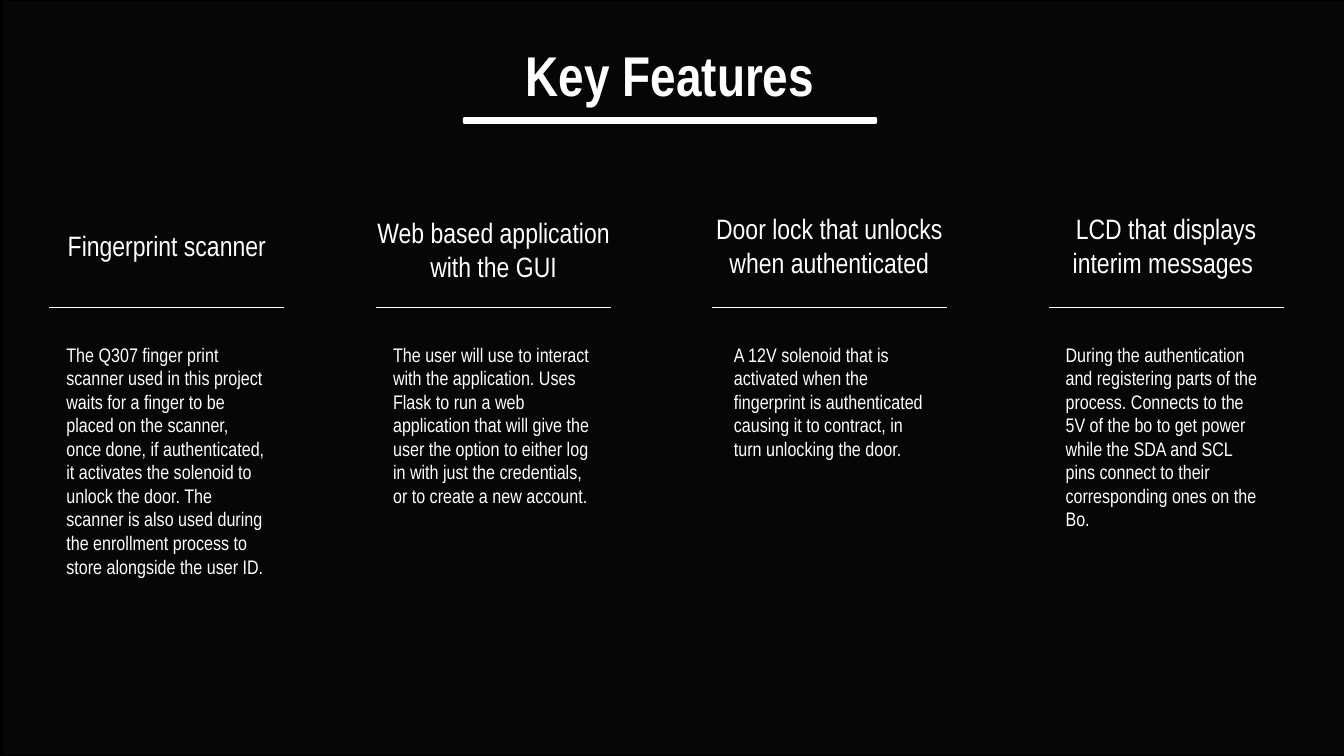
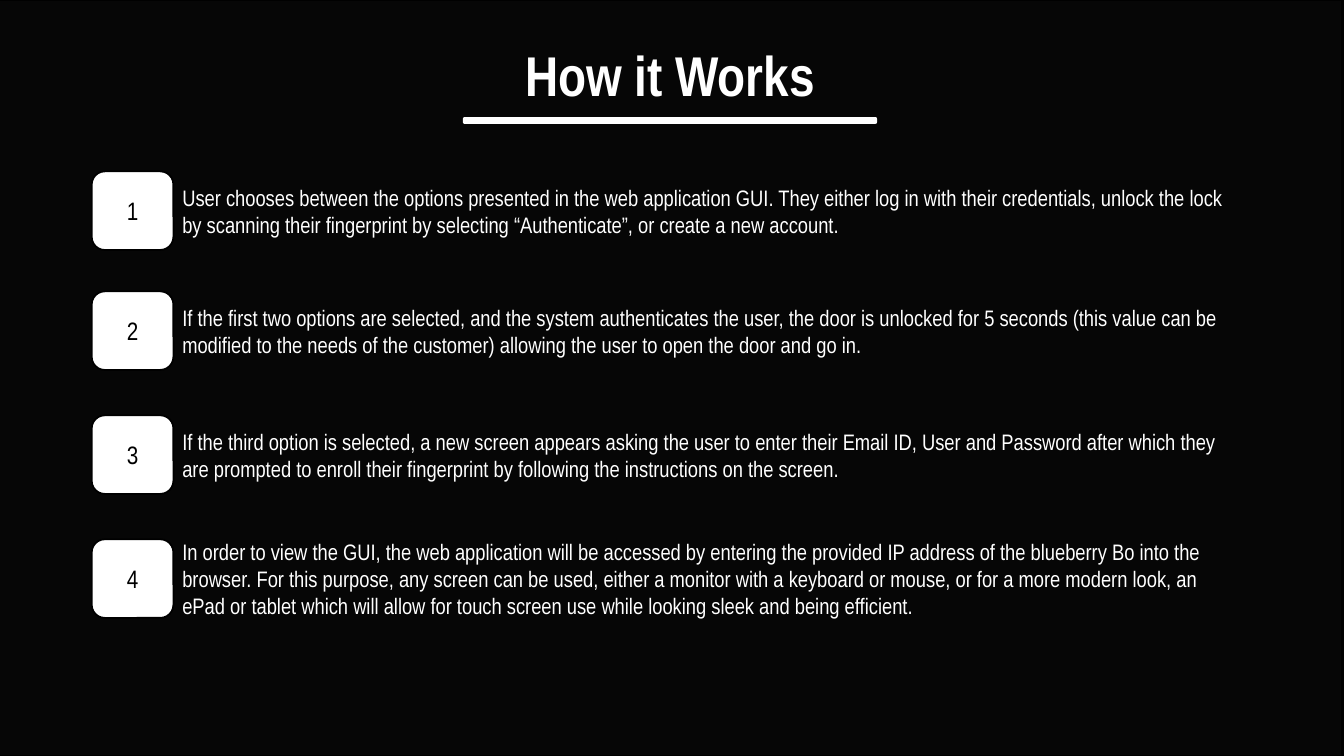
from lxml import etree
from pptx import Presentation
from pptx.dml.color import RGBColor
from pptx.enum.shapes import MSO_CONNECTOR, MSO_SHAPE
from pptx.enum.text import MSO_ANCHOR, MSO_AUTO_SIZE, PP_ALIGN
from pptx.oxml.ns import qn
from pptx.util import Inches, Pt

WHITE = RGBColor(0xFF, 0xFF, 0xFF)
BLACK = RGBColor(0x00, 0x00, 0x00)
VEIL = RGBColor(0x0D, 0x0D, 0x0D)
VEIL_OPACITY = 52
FONT = "Arial Narrow"

RECT = MSO_SHAPE.RECTANGLE
ROUND_RECT = MSO_SHAPE.ROUNDED_RECTANGLE
BADGE = MSO_SHAPE.FLOWCHART_ALTERNATE_PROCESS
STRAIGHT = MSO_CONNECTOR.STRAIGHT
LEFT, CENTER = PP_ALIGN.LEFT, PP_ALIGN.CENTER
TOP, MIDDLE = MSO_ANCHOR.TOP, MSO_ANCHOR.MIDDLE
FIXED = MSO_AUTO_SIZE.NONE

SLIDE_W, SLIDE_H = 13.33, 7.5
TITLE_ONLY = 5

# Column left, heading top, heading height, body indent, heading, body
FEATURES = [
    (0.33, 2.22, 0.44, 0.23, "Fingerprint scanner",
     "The Q307 finger print scanner used in this project waits for a finger "
     "to be placed on the scanner, once done, if authenticated, it activates "
     "the solenoid to unlock the door. The scanner is also used during the "
     "enrollment process to store alongside the user ID."),
    (3.57, 2.09, 0.77, 0.23, "Web based application with the GUI",
     "The user will use to interact with the application. Uses Flask to run "
     "a web application that will give the user the option to either log in "
     "with just the credentials, or to create a new account."),
    (6.9, 2.05, 0.77, 0.28, "Door lock that unlocks when authenticated",
     "A 12V solenoid that is activated when the fingerprint is authenticated "
     "causing it to contract, in turn unlocking the door."),
    (10.24, 2.05, 0.77, 0.23, "LCD that displays interim messages ",
     "During the authentication and registering parts of the process. "
     "Connects to the 5V of the bo to get power while the SDA and SCL pins "
     "connect to their corresponding ones on the Bo."),
]

# Badge top, text
STEPS = [
    (1.7, "User chooses between the options presented in the web application "
     "GUI. They either log in with their credentials, unlock the lock by "
     "scanning their fingerprint by selecting “Authenticate”, or create a "
     "new account."),
    (2.89, "If the first two options are selected, and the system "
     "authenticates the user, the door is unlocked for 5 seconds (this value "
     "can be modified to the needs of the customer) allowing the user to open "
     "the door and go in."),
    (4.12, "If the third option is selected, a new screen appears asking the "
     "user to enter their Email ID, User and Password after which they are "
     "prompted to enroll their fingerprint by following the instructions on "
     "the screen."),
    (5.35, "In order to view the GUI, the web application will be accessed by "
     "entering the provided IP address of the blueberry Bo into the browser. "
     "For this purpose, any screen can be used, either a monitor with a "
     "keyboard or mouse, or for a more modern look, an ePad or tablet which "
     "will allow for touch screen use while looking sleek and being "
     "efficient."),
]


def box(x, y, w, h):
    return Inches(x), Inches(y), Inches(w), Inches(h)


def write(shape, text, size, color=WHITE, align=LEFT, anchor=TOP, bold=False):
    tf = shape.text_frame
    tf.word_wrap = True
    tf.auto_size = FIXED
    tf.vertical_anchor = anchor
    tf.text = text
    p = tf.paragraphs[0]
    p.alignment = align
    font = p.font
    font.name, font.size, font.bold = FONT, Pt(size), bold
    font.color.rgb = color


def add_text(slide, x, y, w, h, text, size, **style):
    write(slide.shapes.add_textbox(*box(x, y, w, h)), text, size, **style)


def add_block(slide, kind, x, y, w, h, fill, line):
    sp = slide.shapes.add_shape(kind, *box(x, y, w, h))
    sp.shadow.inherit = False
    sp.fill.solid()
    sp.fill.fore_color.rgb = fill
    sp.line.color.rgb = line
    sp.line.width = Pt(1.25)
    return sp


def add_rule(slide, x, y, w):
    line = slide.shapes.add_connector(
        STRAIGHT, Inches(x), Inches(y), Inches(x + w), Inches(y))
    line.line.color.rgb = WHITE
    line.line.width = Pt(0.75)
    etree.SubElement(line._element.spPr, qn("a:effectLst"))


def add_veil(slide, x):
    """Lay a translucent panel over the background, behind all else."""
    veil = add_block(slide, RECT, x, 0, SLIDE_W, SLIDE_H, VEIL, BLACK)
    color = veil._element.spPr.find(qn("a:solidFill"))[0]
    etree.SubElement(color, qn("a:alpha"), val=str(VEIL_OPACITY * 1000))
    slide.shapes._spTree.insert(2, veil._element)


def add_titled_slide(prs, title, veil_x):
    slide = prs.slides.add_slide(prs.slide_layouts[TITLE_ONLY])
    slide.background.fill.solid()
    slide.background.fill.fore_color.rgb = BLACK
    add_veil(slide, veil_x)
    sp = slide.shapes.title
    sp.left, sp.top, sp.width, sp.height = box(-0.02, 0.35, SLIDE_W, 1.18)
    write(sp, title, 40, align=CENTER, bold=True)
    add_block(slide, ROUND_RECT, 4.6, 1.17, 4.09, 0.05, WHITE, WHITE)
    return slide


def add_feature(slide, x, head_y, head_h, indent, heading, body):
    width, rule_y, rule_inset = 2.65, 3.05, 0.16
    add_text(slide, x, head_y, width, head_h, heading, 20, align=CENTER)
    add_rule(slide, x + rule_inset, rule_y, width - 2 * rule_inset)
    add_text(slide, x + indent, rule_y + 0.3, 2.18, 2.76, body, 14)


def add_step(slide, y, number, text):
    x, width, height = 0.91, 0.81, 0.78
    badge = add_block(slide, BADGE, x, y, width, height, WHITE, BLACK)
    write(badge, str(number), 18, color=BLACK, align=CENTER, anchor=MIDDLE)
    add_text(slide, x + width - 0.01, y, 10.72, height, text, 16,
             anchor=MIDDLE)


def main():
    prs = Presentation()
    prs.slide_width, prs.slide_height = Inches(SLIDE_W), Inches(SLIDE_H)

    slide = add_titled_slide(prs, "Key Features", 0.02)
    for feature in FEATURES:
        add_feature(slide, *feature)

    slide = add_titled_slide(prs, "How it Works", -0.02)
    for number, (y, text) in enumerate(STEPS, 1):
        add_step(slide, y, number, text)

    prs.save("out.pptx")


if __name__ == "__main__":
    main()
